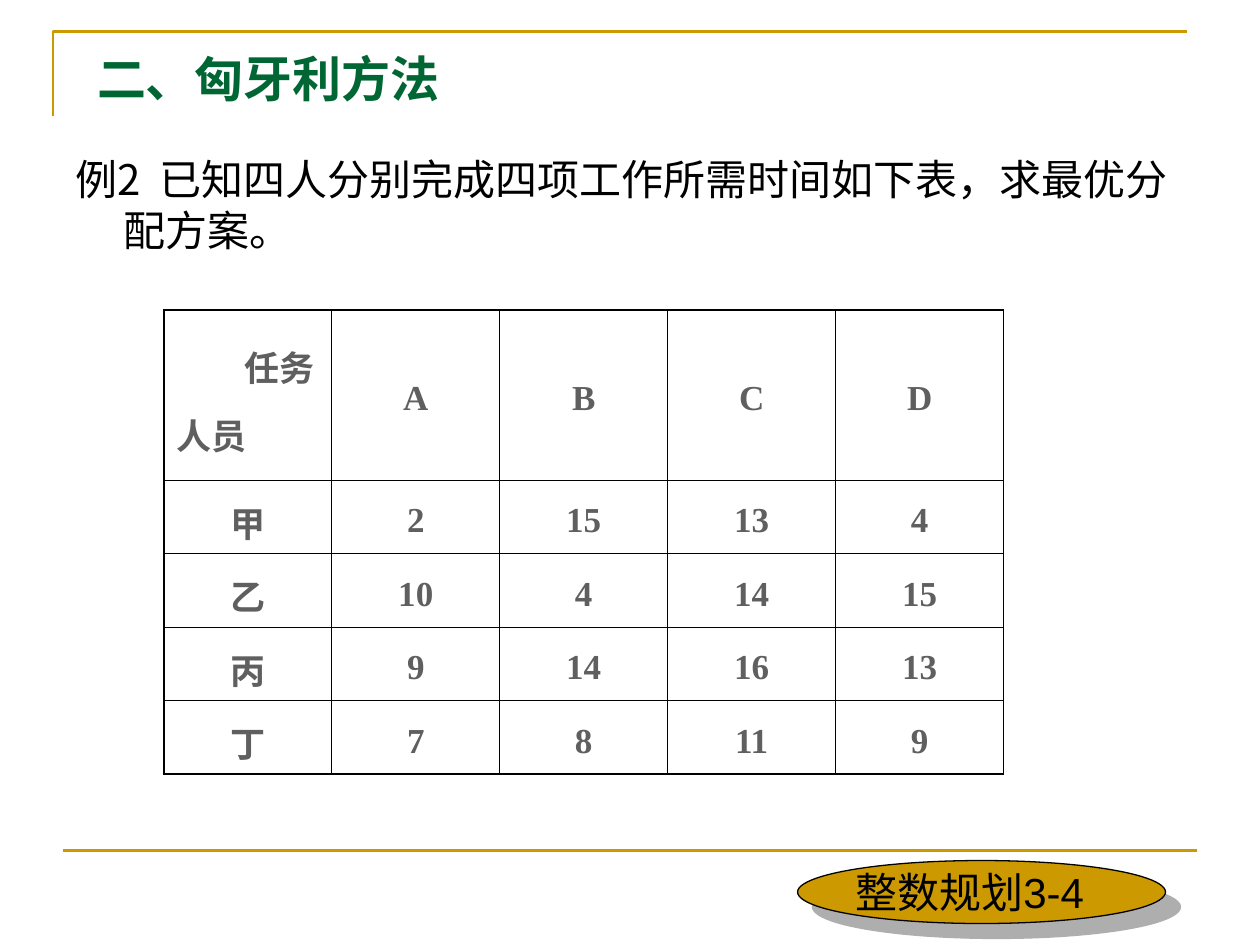
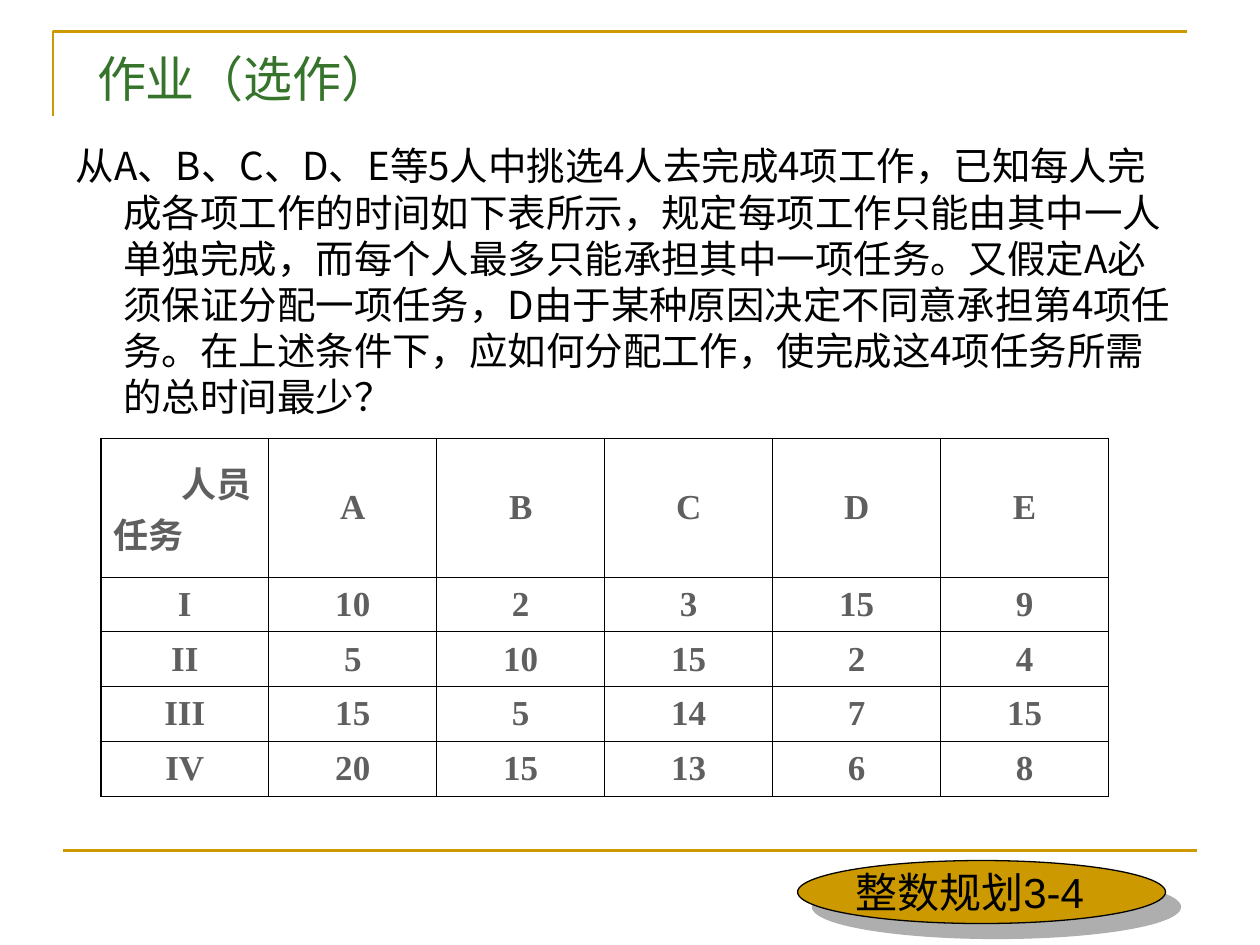
import pptx
import pptx.dml.color
import pptx.enum.shapes
import pptx.enum.text
import pptx.oxml
import pptx.oxml.ns
import pptx.util
from lxml import etree

Inches = pptx.util.Inches
Pt = pptx.util.Pt
ALIGN = pptx.enum.text.PP_ALIGN
MIDDLE = pptx.enum.text.MSO_ANCHOR.MIDDLE
TOP = pptx.enum.text.MSO_ANCHOR.TOP

GOLD, BLACK, GREY = "CC9900", "000000", "5F5F5F"
CJK_FONT = "Noto Sans CJK SC"
HANGING = 0.38
COLUMN_WIDTH = 4 / 3
THICK, THIN = 1.08, 0.45


def color(value):
    return pptx.dml.color.RGBColor.from_string(value)


def child(parent, tag, **attributes):
    return etree.SubElement(parent, pptx.oxml.ns.qn(tag), attributes)


def write(para, text, size=20, font=CJK_FONT, fill=BLACK, bold=False,
          align=ALIGN.LEFT, spacing=1.0, before=0):
    para.alignment = align
    para.line_spacing = spacing
    para.space_before = Pt(before)
    span = para.add_run()
    span.text = text
    span.font.size = Pt(size)
    span.font.name = font
    span.font.bold = bold
    span.font.color.rgb = color(fill)
    child(span.font._element, "a:ea", typeface=CJK_FONT)


def set_hanging(para):
    """Indent all lines but the first, without a bullet."""
    properties = para._p.get_or_add_pPr()
    properties.set("marL", str(Inches(HANGING)))
    properties.set("indent", str(-Inches(HANGING)))
    child(properties, "a:buNone")


def fill_placeholder(box, left, top, width, height, text, anchor, **text_format):
    box.left, box.top = Inches(left), Inches(top)
    box.width, box.height = Inches(width), Inches(height)
    frame = box.text_frame
    frame.auto_size = pptx.enum.text.MSO_AUTO_SIZE.NONE
    frame.vertical_anchor = anchor
    set_hanging(frame.paragraphs[0])
    write(frame.paragraphs[0], text, **text_format)


def add_frame_lines(page):
    """Draw the corner line around the title and the rule above the footer."""
    builder = page.shapes.build_freeform(Inches(0.42), Inches(0.92))
    builder.add_line_segments([(Inches(0.42), Inches(0.25)),
                               (Inches(9.42), Inches(0.25))], close=False)
    corner = builder.convert_to_shape()
    corner.fill.background()
    corner.shadow.inherit = False
    rule = page.shapes.add_connector(
        pptx.enum.shapes.MSO_CONNECTOR.STRAIGHT,
        Inches(0.5), Inches(6.75), Inches(9.5), Inches(6.75))
    child(rule._element.spPr, "a:effectLst")
    for shape in (corner, rule):
        shape.line.color.rgb = color(GOLD)
        shape.line.width = Pt(1.5)


def add_chapter_badge(page):
    badge = page.shapes.add_shape(pptx.enum.shapes.MSO_SHAPE.OVAL, Inches(6.33),
                                  Inches(6.83), Inches(2.92), Inches(0.5))
    badge.fill.solid()
    badge.fill.fore_color.rgb = color(GOLD)
    badge.line.color.rgb = color(BLACK)
    badge.line.width = Pt(0.75)
    effects = child(badge._element.spPr, "a:effectLst")
    shadow = child(effects, "a:outerShdw", dist=str(Pt(12.1)), dir="2700000",
                   algn="ctr", rotWithShape="0")
    shade = child(shadow, "a:srgbClr", val=GREY)
    child(shade, "a:alpha", val="50000")

    label = page.shapes.add_textbox(Inches(6.69), Inches(6.83), Inches(2.48), Inches(0.5))
    label.text_frame.word_wrap = True
    label.text_frame.vertical_anchor = MIDDLE
    write(label.text_frame.paragraphs[0], "整数规划3-4", size=24, font="Arial")


def set_borders(cell, widths):
    """Draw the left, right, top and bottom borders, widths in points."""
    properties = cell._tc.get_or_add_tcPr()
    for position, (side, width) in enumerate(zip("LRTB", widths)):
        border = child(properties, f"a:ln{side}", w=str(Pt(width)))
        child(child(border, "a:solidFill"), "a:srgbClr", val=BLACK)
        properties.insert(position, border)


def add_time_table(page, left, top, height, corner, rows, header_height,
                   spacing, before, bottom):
    """Add a table whose first cell names the columns and then the rows."""
    last_row, last_column = len(rows) - 1, len(rows[0]) - 1
    row_height = (height - header_height) / last_row
    table = page.shapes.add_table(
        len(rows), len(rows[0]), Inches(left), Inches(top),
        Inches(COLUMN_WIDTH * len(rows[0])), Inches(height)).table
    table.first_row = table.horz_banding = False
    for column in table.columns:
        column.width = Inches(COLUMN_WIDTH)
    cell_format = dict(font="Times New Roman", fill=GREY, bold=True, spacing=spacing)
    for r, values in enumerate(rows):
        table.rows[r].height = Inches(row_height if r else header_height)
        for c, value in enumerate(values):
            cell = table.cell(r, c)
            cell.fill.background()
            cell.vertical_anchor = MIDDLE
            set_borders(cell, (THIN if c else THICK,
                               THICK if c == last_column else THIN,
                               THIN if r else THICK,
                               bottom if r == last_row else THIN))
            if value:
                write(cell.text_frame.paragraphs[0], value, align=ALIGN.CENTER, **cell_format)
    corner_cell = table.cell(0, 0)
    corner_cell.margin_right = Inches(0.14)
    column_name, row_name = corner
    frame = corner_cell.text_frame
    write(frame.paragraphs[0], column_name, align=ALIGN.RIGHT, **cell_format)
    write(frame.add_paragraph(), row_name, before=before, **cell_format)


def add_page(deck, title, title_format, body, body_place, body_size, table):
    page = deck.slides.add_slide(deck.slide_layouts[1])
    add_frame_lines(page)
    fill_placeholder(page.shapes.title, 0.67, 0.33, 6.67, 0.58, title, MIDDLE,
                     size=28, **title_format)
    fill_placeholder(page.placeholders[1], *body_place, body, TOP, size=body_size)
    add_time_table(page, **table)
    add_chapter_badge(page)


def main():
    deck = pptx.Presentation()
    deck.slide_width, deck.slide_height = Inches(10), Inches(7.5)

    add_page(
        deck, "二、匈牙利方法", dict(fill="006633", bold=True),
        "例2  已知四人分别完成四项工作所需时间如下表，求最优分配方案。",
        (0.5, 1.17, 9.06, 1.1), 24,
        dict(left=1.3, top=2.46, height=3.35, corner=("任务", "人员"),
             header_height=1.35, spacing=1.2, before=3.7, bottom=THICK,
             rows=[["", "A", "B", "C", "D"],
                   ["甲", "2", "15", "13", "4"],
                   ["乙", "10", "4", "14", "15"],
                   ["丙", "9", "14", "16", "13"],
                   ["丁", "7", "8", "11", "9"]]))

    add_page(
        deck, "作业（选作）", dict(fill="35742A"),
        "从A、B、C、D、E等5人中挑选4人去完成4项工作，已知每人完成各项工作的时间如下表所示，"
        "规定每项工作只能由其中一人单独完成，而每个人最多只能承担其中一项任务。"
        "又假定A必须保证分配一项任务，D由于某种原因决定不同意承担第4项任务。"
        "在上述条件下，应如何分配工作，使完成这4项任务所需的总时间最少？",
        (0.5, 1.08, 8.9, 2.44), 22,
        dict(left=0.8, top=3.48, height=2.84, corner=("人员", "任务"),
             header_height=1.1, spacing=1.0, before=0, bottom=THIN,
             rows=[["", "A", "B", "C", "D", "E"],
                   ["I", "10", "2", "3", "15", "9"],
                   ["II", "5", "10", "15", "2", "4"],
                   ["III", "15", "5", "14", "7", "15"],
                   ["IV", "20", "15", "13", "6", "8"]]))

    deck.save("out.pptx")


if __name__ == "__main__":
    main()
